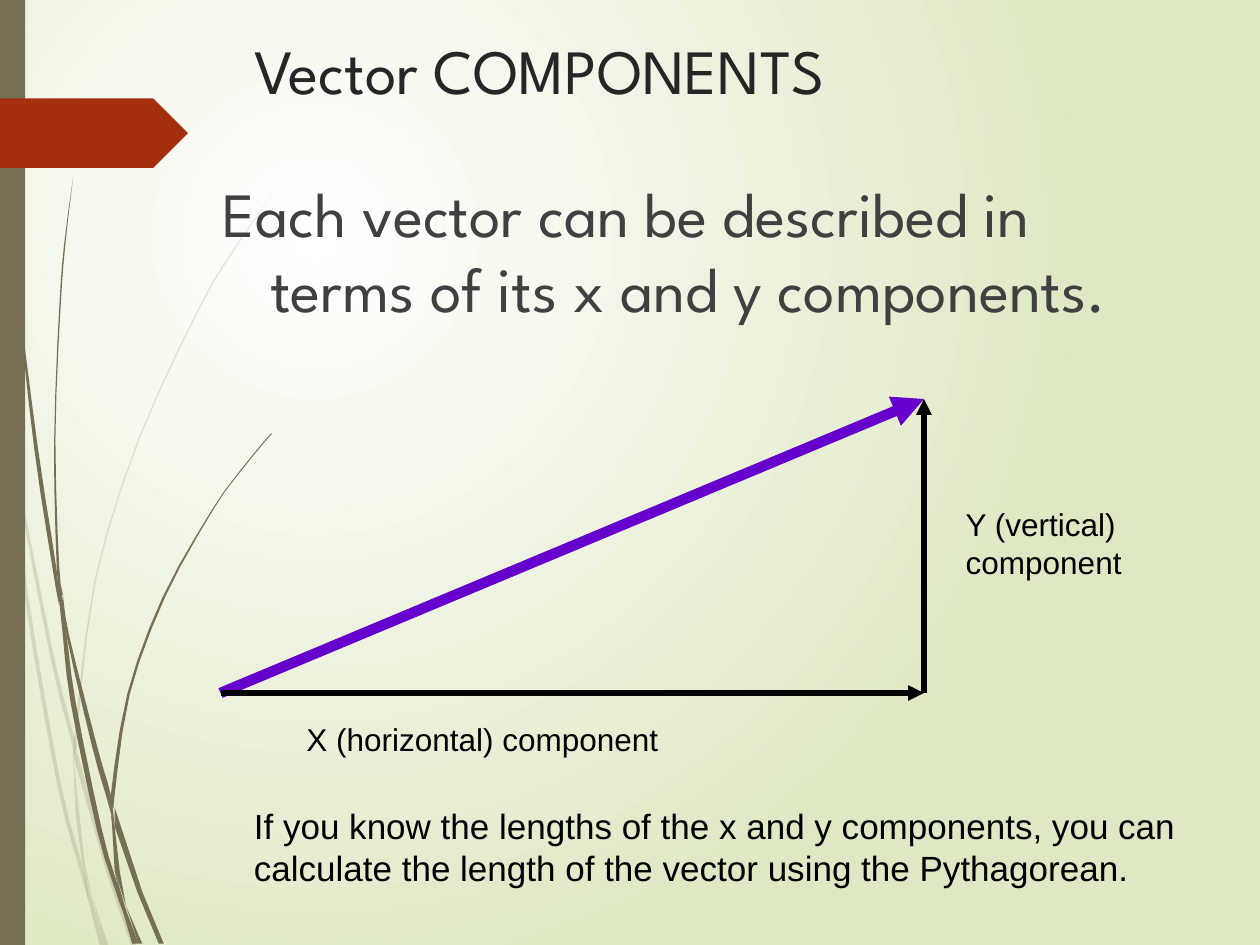
from lxml import etree
from pptx import Presentation
from pptx import util as u
from pptx.dml.color import RGBColor
from pptx.enum import shapes, text
from pptx.oxml.ns import qn

CELL = u.Inches(1) // 12  # the slide is a grid of 120 columns by 90 rows
OLIVE, RED, PURPLE, BLACK = "766F54", "A53010", "6600CC", "000000"
SANS, HEAD = "Arial", "League Spartan"

# Grass blades: left edge, height and width, in hundredths of an inch
PALE = [
    [(0, 282, 0), (0, 299, 2), (7, 344, 0), (8, 350, 0)],
    [(10, 345, 0), (12, 376, 2), (40, 522, 3), (56, 586, 3), (59, 599, 0)],
    [(61, 596, 0), (61, 610, 4), (85, 694, 3), (104, 750, 4)],
    [(73, 711, 0), (83, 750, 3)],
    [(8, 350, 0), (11, 376, 1), (19, 470, 3), (45, 621, 3), (64, 693, 3),
     (70, 714, 0)],
    [(58, 599, 0), (60, 646, 3), (65, 683, 2), (73, 711, 0)],
    [(217, 153, 0), (186, 197, 1), (158, 244, 1), (110, 348, 1),
     (75, 461, 1), (59, 584, 2), (59, 586, 2), (61, 596, 0)],
    [(70, 714, 0), (79, 750, 3)],
    [(59, 586, 0), (58, 599, 3), (61, 610, 0)],
    [(65, 683, 0), (70, 714, 3), (82, 750, 1)],
]
DARK = [
    [(2, 0, 1), (5, 110, 1), (14, 233, 1), (27, 355, 3), (42, 453, 3),
     (47, 481, 0)],
    [(50, 472, 0), (53, 505, 2), (73, 592, 4), (84, 631, 4), (88, 645, 0)],
    [(91, 641, 0), (91, 656, 5), (109, 708, 4), (126, 749, 4)],
    [(47, 477, 0), (50, 505, 3), (56, 557, 4), (77, 659, 4), (92, 708, 3),
     (97, 722, 0)],
    [(58, 141, 0), (51, 193, 1), (47, 245, 1), (43, 349, 1), (45, 449, 2),
     (49, 472, 1)],
    [(100, 719, 0), (110, 749, 3)],
    [(45, 449, 0), (47, 477, 3), (53, 505, 0)],
    [(215, 344, 1), (191, 373, 1), (168, 405, 1), (129, 474, 2),
     (101, 551, 2), (88, 631, 3), (91, 641, 0)],
    [(97, 722, 0), (105, 749, 3)],
    [(88, 645, 0), (89, 656, 2), (91, 691, 4), (100, 719, 0)],
    [(88, 631, 0), (88, 645, 2), (91, 656, 0)],
    [(91, 691, 0), (97, 722, 3), (108, 749, 2)],
]


def tint(code):
    return RGBColor.from_string(code)


def cells(*nums):
    return [round(n * CELL) for n in nums]


def paint(shape, code, alpha=None):
    shape.shadow.inherit = False
    shape.fill.solid()
    shape.fill.fore_color.rgb = tint(code)
    shape.line.fill.background()
    if alpha:
        color = shape.fill._xPr.find(".//" + qn("a:srgbClr"))
        etree.SubElement(color, qn("a:alpha"), val=str(alpha * 1000))


def curve(knots, steps):
    """Smooth (Catmull-Rom) points through the knots."""
    ends = [knots[0], *knots, knots[-1]]
    for a, b, c, d in zip(ends, ends[1:], ends[2:], ends[3:]):
        for i in range(steps):
            t = i / steps
            yield tuple(
                (2 * q + (r - p) * t + (2 * p - 5 * q + 4 * r - s) * t ** 2
                 + (3 * q - p - 3 * r + s) * t ** 3) / 2
                for p, q, r, s in zip(a, b, c, d))
    yield knots[-1]


def blade(slide, knots, alpha=None):
    points = list(curve(knots, 3 if len(knots) > 4 else 1))
    left = [(x * 10, y * 10) for x, y, w in points]
    right = [((x + w) * 10, y * 10) for x, y, w in points if w]
    outline = left + right[::-1]
    form = slide.shapes.build_freeform(*outline[0], scale=914.4)
    form.add_line_segments(outline[1:], close=True)
    paint(form.convert_to_shape(), OLIVE, alpha)


def block(slide, kind, box, code):
    paint(slide.shapes.add_shape(kind, *cells(*box)), code)


def backdrop(slide):
    fill = slide.background.fill
    fill.gradient()
    for stop, code in zip(fill.gradient_stops, ("FFFFFF", "DFE8C4")):
        stop.color.rgb = tint(code)
    # Radial glow centred in the upper left
    lin = slide.background._cSld.find(".//" + qn("a:lin"))
    glow = etree.Element(qn("a:path"), attrib={"path": "circle"})
    etree.SubElement(glow, qn("a:fillToRect"),
                     l="50000", t="50000", r="100000", b="100000")
    lin.getparent().replace(lin, glow)


def write(shape, lines, font, size, code, wrap=True):
    frame = shape.text_frame
    frame.word_wrap = wrap
    frame.auto_size = text.MSO_AUTO_SIZE.NONE
    frame.vertical_anchor = text.MSO_ANCHOR.TOP
    frame.text = "\n".join(lines)
    for para in frame.paragraphs:
        para.alignment = text.PP_ALIGN.LEFT
        para.font.name, para.font.size = font, u.Pt(size)
        para.font.color.rgb = tint(code)
    return frame


def label(slide, box, lines, font=SANS, size=18, code=BLACK, wrap=True):
    shape = slide.shapes.add_textbox(*cells(*box))
    return write(shape, lines, font, size, code, wrap)


def arrow(slide, start, end, code, width):
    line = slide.shapes.add_connector(
        shapes.MSO_CONNECTOR.STRAIGHT, *cells(*start, *end))
    line.line.color.rgb = tint(code)
    line.line.width = u.Pt(width)
    etree.SubElement(line.line._get_or_add_ln(), qn("a:tailEnd"),
                     type="triangle")
    etree.SubElement(line._element.spPr, qn("a:effectLst"))


def main():
    deck = Presentation()
    deck.slide_width, deck.slide_height = cells(120, 90)
    slide = deck.slides.add_slide(deck.slide_layouts[5])

    # Backdrop, grass, side bar and tag
    backdrop(slide)
    for knots in PALE:
        blade(slide, knots, alpha=20)
    for knots in DARK:
        blade(slide, knots)
    kinds = shapes.MSO_SHAPE
    block(slide, kinds.RECTANGLE, (0, 0, 2.4, 90), OLIVE)
    block(slide, kinds.PENTAGON, (0, 9.36, 17.9, 6.64), RED)

    # Title and statement
    title = slide.shapes.title
    title.left, title.top, title.width, title.height = cells(23, 2.4, 86.5, 16.8)
    write(title, ["Vector COMPONENTS"], HEAD, 36, "262626")
    body = label(slide, (20, 16, 94, 59.4), [
        "Each vector can be described in terms of its x and y components."],
        HEAD, 36, "404040")
    props = body.paragraphs[0]._p.get_or_add_pPr()
    props.set("marL", str(u.Inches(0.38)))
    props.set("indent", str(-u.Inches(0.38)))

    # Vector triangle
    tail, corner, tip = (21, 66), (88, 66), (88, 38)
    arrow(slide, tail, tip, PURPLE, 6)
    arrow(slide, tail, corner, BLACK, 3)
    arrow(slide, corner, tip, BLACK, 3)

    # Labels and closing note
    label(slide, (28, 68, 47, 4.8), ["X (horizontal) component"])
    label(slide, (90.8, 47.5, 17.3, 8.4), ["Y (vertical)", "component"],
          wrap=False)
    label(slide, (23, 76, 94, 9.2), [
        "If you know the lengths of the x and y components, you can "
        "calculate the length of the vector using the Pythagorean."], size=20)

    deck.save("out.pptx")


if __name__ == "__main__":
    main()
